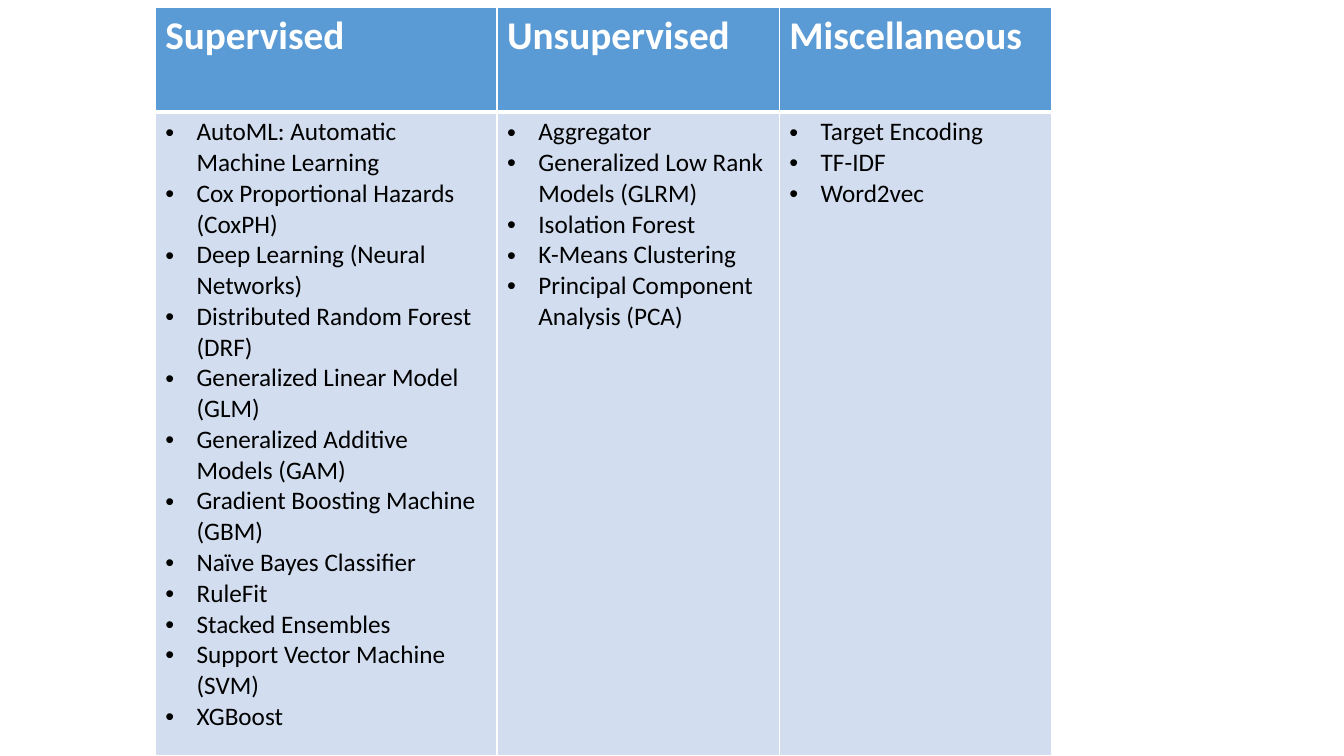
"""Build a slide with a table of machine learning algorithms by category."""
from dataclasses import dataclass

from lxml.etree import SubElement
from pptx import Presentation
from pptx.dml.color import RGBColor
from pptx.oxml.ns import qn
from pptx.table import _Cell
from pptx.util import Inches, Pt

COLORS = {"header": "5B9BD5", "body": "D2DEEF", "rule": "FFFFFF",
          "heading": "FFFFFF", "algorithm": "000000"}
HEADING_FONT = {"name": "Calibri", "size": Pt(28), "bold": True}
ALGORITHM_FONT = {"name": "Calibri", "size": Pt(18), "bold": False}
HEADER_HEIGHT, BODY_HEIGHT = Inches(1.04), Inches(6.39)
BULLET_INDENT = Inches(0.31)
THIN, THICK = Pt(1), Pt(3)


@dataclass(frozen=True)
class Category:
    """A learning category with its column width and algorithms."""
    heading: str
    width: float
    algorithms: tuple[str, ...]


CATEGORIES = (
    Category("Supervised", 3.39, (
        "AutoML: Automatic Machine Learning",
        "Cox Proportional Hazards (CoxPH)",
        "Deep Learning (Neural Networks)",
        "Distributed Random Forest (DRF)",
        "Generalized Linear Model (GLM)",
        "Generalized Additive Models (GAM)",
        "Gradient Boosting Machine (GBM)",
        "Naïve Bayes Classifier",
        "RuleFit",
        "Stacked Ensembles",
        "Support Vector Machine (SVM)",
        "XGBoost",
    )),
    Category("Unsupervised", 2.8, (
        "Aggregator",
        "Generalized Low Rank Models (GLRM)",
        "Isolation Forest",
        "K-Means Clustering",
        "Principal Component Analysis (PCA)",
    )),
    Category("Miscellaneous", 2.7, ("Target Encoding", "TF-IDF", "Word2vec")),
)


def style_cell(cell: _Cell, fill: str, top: int, bottom: int) -> None:
    """Draw the cell rules and fill the cell."""
    properties = cell._tc.get_or_add_tcPr()
    for side, width in {"L": THIN, "R": THIN, "T": top, "B": bottom}.items():
        rule = SubElement(properties, qn(f"a:ln{side}"), w=str(width))
        paint = SubElement(rule, qn("a:solidFill"))
        SubElement(paint, qn("a:srgbClr"), val=COLORS["rule"])
    cell.fill.solid()
    cell.fill.fore_color.rgb = RGBColor.from_string(COLORS[fill])


def write_cell(cell: _Cell, entries: tuple[str, ...], font: dict[str, object],
               color: str, bulleted: bool) -> None:
    """Write one paragraph per entry, with bullets if wanted."""
    cell.text = "\n".join(entries)
    for entry in cell.text_frame.paragraphs:
        for attribute, setting in font.items():
            setattr(entry.runs[0].font, attribute, setting)
        entry.runs[0].font.color.rgb = RGBColor.from_string(COLORS[color])
        if bulleted:
            properties = entry._p.get_or_add_pPr()
            properties.set("marL", str(BULLET_INDENT))
            properties.set("indent", str(-BULLET_INDENT))
            SubElement(properties, qn("a:buFont"), typeface="Arial")
            SubElement(properties, qn("a:buChar"), char="•")


presentation = Presentation()
presentation.slide_width, presentation.slide_height = Inches(13.33), Inches(7.5)
slide = presentation.slides.add_slide(presentation.slide_layouts[6])
total_width = Inches(sum(category.width for category in CATEGORIES))
algorithms = slide.shapes.add_table(
    2, len(CATEGORIES), Inches(1.54), Inches(0.07),
    total_width, HEADER_HEIGHT + BODY_HEIGHT).table
algorithms.rows[0].height, algorithms.rows[1].height = HEADER_HEIGHT, BODY_HEIGHT

for column, category in enumerate(CATEGORIES):
    algorithms.columns[column].width = Inches(category.width)
    header, body = algorithms.cell(0, column), algorithms.cell(1, column)
    style_cell(header, "header", THIN, THICK)
    style_cell(body, "body", THICK, THIN)
    write_cell(header, (category.heading,), HEADING_FONT, "heading", False)
    write_cell(body, category.algorithms, ALGORITHM_FONT, "algorithm", True)

presentation.save("out.pptx")
